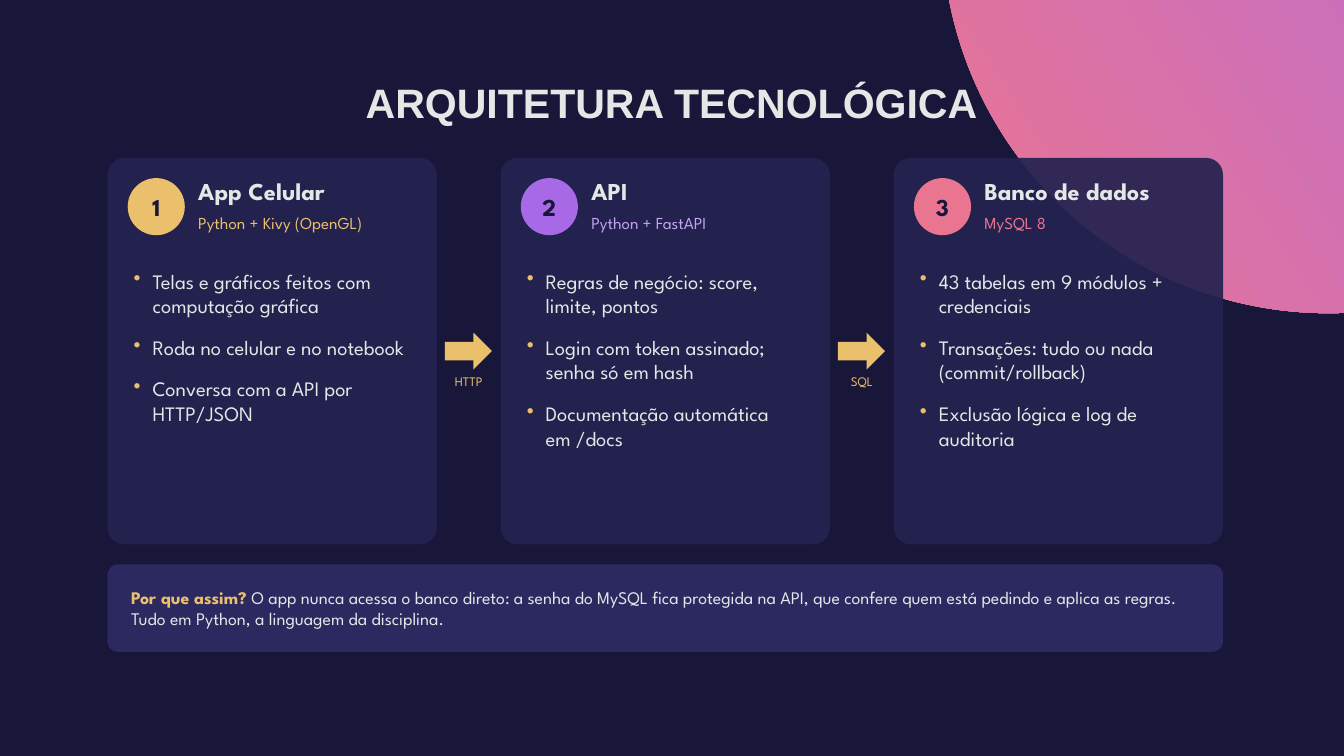
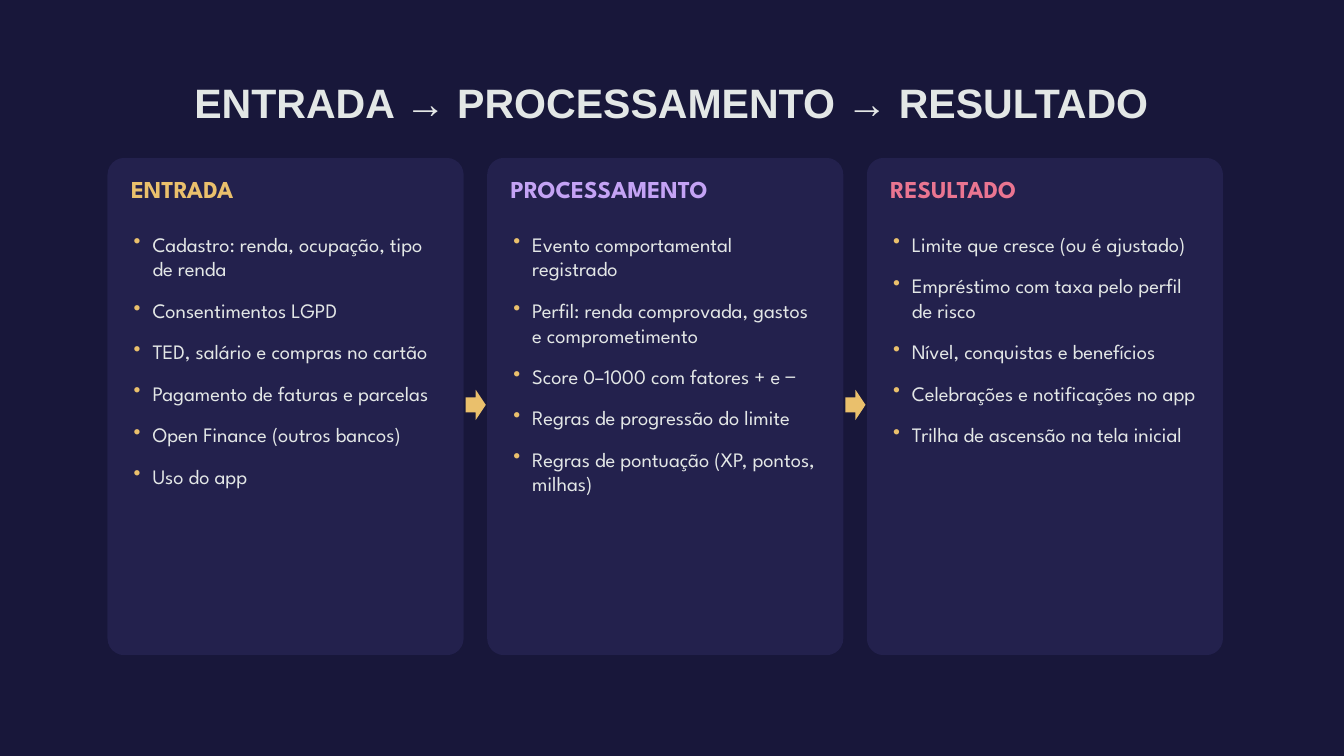
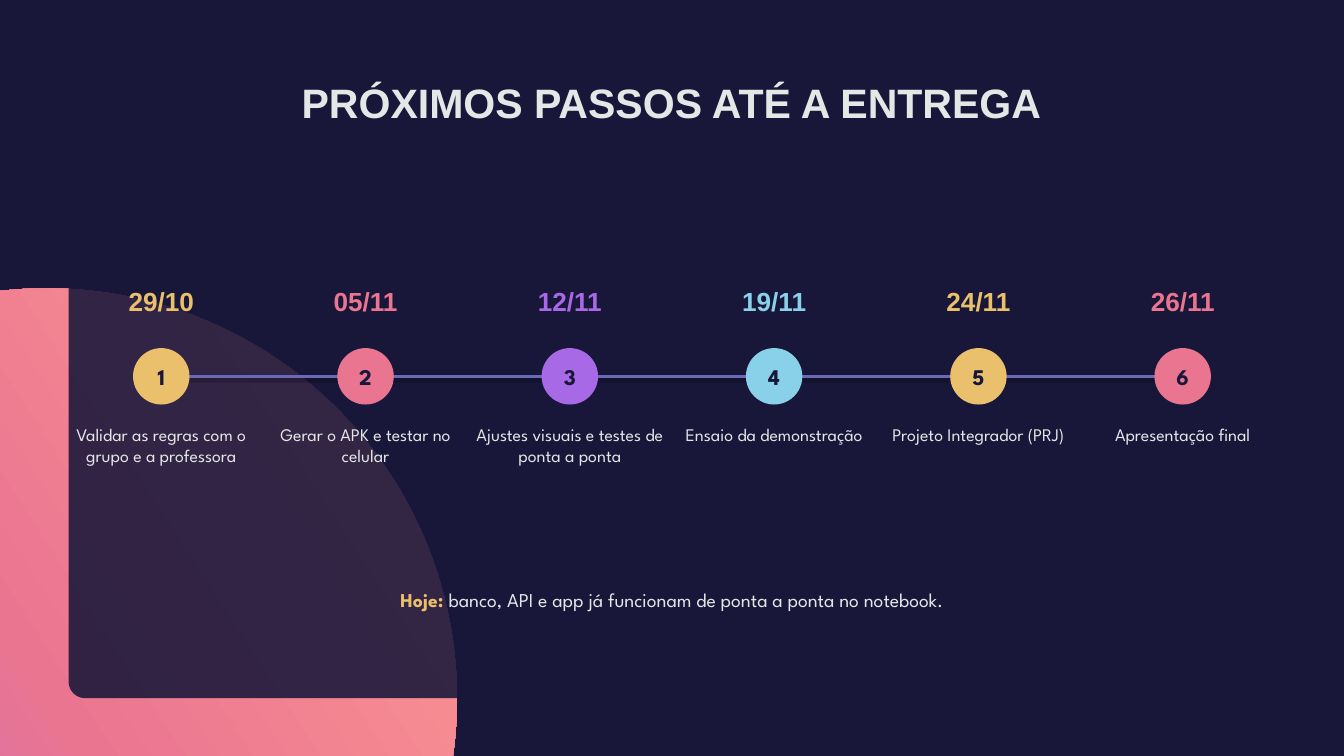
from pptx import Presentation
from pptx.dml.color import RGBColor
from pptx.enum.shapes import MSO_CONNECTOR, MSO_SHAPE
from pptx.enum.text import MSO_ANCHOR, MSO_AUTO_SIZE, PP_ALIGN
from pptx.oxml.ns import qn
from pptx.util import Pt
from lxml.etree import SubElement

NIGHT = RGBColor(0x18, 0x17, 0x3A)
CARD = RGBColor(0x24, 0x22, 0x4F)
BAND = RGBColor(0x2E, 0x2B, 0x63)
RAIL = RGBColor(0x6C, 0x68, 0xB8)
LIGHT = RGBColor(0xE3, 0xE7, 0xE6)
GOLD = RGBColor(0xEA, 0xC0, 0x6C)
VIOLET = RGBColor(0xA8, 0x69, 0xE7)
LILAC = RGBColor(0xC4, 0xA3, 0xF5)
PINK = RGBColor(0xEA, 0x75, 0x91)
CORAL = RGBColor(0xFF, 0x9C, 0x92)
SKY = RGBColor(0x89, 0xD0, 0xE9)
BODY, HEAD = "League Spartan", "Arial"
LEFT, TOP = 115.2, 169.2

# Content
LAYERS = [
    ("App Celular", "Python + Kivy (OpenGL)", GOLD, GOLD, "HTTP", [
        "Telas e gráficos feitos com computação gráfica",
        "Roda no celular e no notebook",
        "Conversa com a API por HTTP/JSON"]),
    ("API", "Python + FastAPI", VIOLET, LILAC, "SQL", [
        "Regras de negócio: score, limite, pontos",
        "Login com token assinado; senha só em hash",
        "Documentação automática em /docs"]),
    ("Banco de dados", "MySQL 8", PINK, PINK, None, [
        "43 tabelas em 9 módulos + credenciais",
        "Transações: tudo ou nada (commit/rollback)",
        "Exclusão lógica e log de auditoria"]),
]
REASON = ("Por que assim? ",
          "O app nunca acessa o banco direto: a senha do MySQL fica protegida "
          "na API, que confere quem está pedindo e aplica as regras. "
          "Tudo em Python, a linguagem da disciplina.")
STAGES = [
    ("ENTRADA", GOLD, [
        "Cadastro: renda, ocupação, tipo de renda",
        "Consentimentos LGPD",
        "TED, salário e compras no cartão",
        "Pagamento de faturas e parcelas",
        "Open Finance (outros bancos)",
        "Uso do app"]),
    ("PROCESSAMENTO", LILAC, [
        "Evento comportamental registrado",
        "Perfil: renda comprovada, gastos e comprometimento",
        "Score 0–1000 com fatores + e −",
        "Regras de progressão do limite",
        "Regras de pontuação (XP, pontos, milhas)"]),
    ("RESULTADO", PINK, [
        "Limite que cresce (ou é ajustado)",
        "Empréstimo com taxa pelo perfil de risco",
        "Nível, conquistas e benefícios",
        "Celebrações e notificações no app",
        "Trilha de ascensão na tela inicial"]),
]
STEPS = [
    ("29/10", "Validar as regras com o grupo e a professora", GOLD),
    ("05/11", "Gerar o APK e testar no celular", PINK),
    ("12/11", "Ajustes visuais e testes de ponta a ponta", VIOLET),
    ("19/11", "Ensaio da demonstração", SKY),
    ("24/11", "Projeto Integrador (PRJ)", GOLD),
    ("26/11", "Apresentação final", PINK),
]
TODAY = ("Hoje: ", "banco, API e app já funcionam de ponta a ponta no notebook.")


# Shared parts
def style(run, size, color, bold=False, font=BODY):
    run.font.size, run.font.name = Pt(size), font
    run.font.color.rgb, run.font.bold = color, bold


def clear(frame):
    frame.margin_left = frame.margin_right = 0
    frame.margin_top = frame.margin_bottom = 0
    frame.word_wrap = True


def text(slide, box, lines, size, color, bold=False, font=BODY,
         center=False, middle=False, gap=6):
    frame = slide.shapes.add_textbox(*map(Pt, box)).text_frame
    clear(frame)
    frame.auto_size = MSO_AUTO_SIZE.SHAPE_TO_FIT_TEXT
    frame.vertical_anchor = MSO_ANCHOR.MIDDLE if middle else MSO_ANCHOR.TOP
    frame.text = "\n".join(lines)
    for par in frame.paragraphs:
        par.space_after = Pt(gap)
        par.alignment = PP_ALIGN.CENTER if center else PP_ALIGN.LEFT
        style(par.runs[0], size, color, bold, font)
    return frame


def bullets(slide, box, lines):
    for par in text(slide, box, lines, 22, LIGHT, gap=18).paragraphs:
        props = par._p.get_or_add_pPr()
        props.set("marL", str(Pt(23.04)))
        props.set("indent", str(Pt(-20.16)))
        tint = SubElement(props, qn("a:buClr"))
        SubElement(tint, qn("a:srgbClr"), val=str(GOLD))
        SubElement(props, qn("a:buChar"), char="•")


def remark(slide, box, parts, size, **look):
    frame = text(slide, box, parts[:1], size, GOLD, True, **look)
    run = frame.paragraphs[0].add_run()
    run.text = parts[1]
    style(run, size, LIGHT)


def shape(slide, kind, box, color, alpha=None, corner=None):
    form = slide.shapes.add_shape(kind, *map(Pt, box))
    form.shadow.inherit = False
    form.line.fill.background()
    form.fill.solid()
    form.fill.fore_color.rgb = color
    if corner:
        form.adjustments[0] = corner
    if alpha:
        tint = form.fill._xPr.find(qn("a:solidFill"))[0]
        SubElement(tint, qn("a:alpha"), val=str(alpha * 1000))
    return form


def panel(slide, box, color, alpha, corner):
    shape(slide, MSO_SHAPE.ROUNDED_RECTANGLE, box, color, alpha, corner)


def arrow(slide, box):
    shape(slide, MSO_SHAPE.RIGHT_ARROW, box, GOLD)


def badge(slide, x, y, side, num, size, color):
    frame = shape(slide, MSO_SHAPE.OVAL, (x, y, side, side), color).text_frame
    clear(frame)
    frame.vertical_anchor = MSO_ANCHOR.MIDDLE
    frame.text = str(num)
    frame.paragraphs[0].alignment = PP_ALIGN.CENTER
    style(frame.paragraphs[0].runs[0], size, NIGHT, True)


def disc(slide, x, y, side, colors):
    form = shape(slide, MSO_SHAPE.OVAL, (x, y, side, side), PINK)
    form.fill.gradient()
    form.fill.gradient_angle = 33
    stops = form.fill._xPr.find(qn("a:gradFill")).find(qn("a:gsLst"))
    for old in list(stops):
        stops.remove(old)
    for i, color in enumerate(colors):
        place = 100000 * i // (len(colors) - 1)
        stop = SubElement(stops, qn("a:gs"), pos=str(place))
        SubElement(stop, qn("a:srgbClr"), val=str(color))


def start(deck):
    slide = deck.slides.add_slide(deck.slide_layouts[6])
    slide.background.fill.solid()
    slide.background.fill.fore_color.rgb = NIGHT
    return slide


def title(slide, words):
    text(slide, (108, 75.6, 1224, 68.4), [words], 44, LIGHT, True, HEAD,
         center=True, middle=True)


# Slides
def layers(deck):
    slide = start(deck)
    disc(slide, 1009.44, -492.48, 828, [PINK, VIOLET])
    title(slide, "ARQUITETURA TECNOLÓGICA")
    for i, (name, tools, color, tint, link, lines) in enumerate(LAYERS):
        x = LEFT + 421.2 * i
        panel(slide, (x, TOP, 352.8, 414), CARD, 92, 0.051)
        badge(slide, x + 21.6, 190.8, 61.2, i + 1, 26, color)
        text(slide, (x + 97.2, 188.64, 244.8, 39.6), [name], 26, LIGHT, True)
        text(slide, (x + 97.2, 228.24, 244.8, 32.4), [tools], 18, tint)
        bullets(slide, (x + 25.2, 288, 306, 288), lines)
        if link:
            arrow(slide, (x + 361.44, 356.4, 50.4, 39.6))
            text(slide, (x + 345.6, 399.6, 82.8, 28.8), [link], 14, GOLD,
                 center=True)
    panel(slide, (LEFT, 604.8, 1195.2, 93.6), BAND, 95, 0.12)
    remark(slide, (LEFT + 25.2, 604.8, 1152, 93.6), REASON, 19, middle=True)


def flow(deck):
    slide = start(deck)
    title(slide, "ENTRADA → PROCESSAMENTO → RESULTADO")
    for i, (name, color, lines) in enumerate(STAGES):
        x = LEFT + 406.8 * i
        panel(slide, (x, TOP, 381.6, 532.8), CARD, 92, 0.047)
        text(slide, (x + 25.2, 187.2, 331.2, 43.2), [name], 26, color, True)
        bullets(slide, (x + 25.2, 248.4, 331.2, 439.2), lines)
        if i < len(STAGES) - 1:
            arrow(slide, (x + 383.76, 417.6, 21.6, 32.4))


def plan(deck):
    slide = start(deck)
    disc(slide, -389.52, 308.88, 879.12, [VIOLET, PINK, CORAL])
    panel(slide, (73.44, 61.2, 1293.12, 686.88), NIGHT, 88, 0.026)
    title(slide, "PRÓXIMOS PASSOS ATÉ A ENTREGA")

    # The rail keeps the soft shadow of the theme
    first, pitch, mid, side, wide = 172.8, 218.88, 403.2, 60.48, 201.6
    last = first + pitch * (len(STEPS) - 1)
    rail = slide.shapes.add_connector(
        MSO_CONNECTOR.STRAIGHT, Pt(first), Pt(mid), Pt(last), Pt(mid))
    rail.line.color.rgb, rail.line.width = RAIL, Pt(3)

    for i, (day, task, color) in enumerate(STEPS):
        x = first + pitch * i
        badge(slide, x - side / 2, mid - side / 2, side, i + 1, 24, color)
        text(slide, (x - wide / 2, 306, wide, 43.2), [day], 28, color, True,
             HEAD, center=True)
        text(slide, (x - wide / 2, 453.6, wide, 115.2), [task], 19, LIGHT,
             center=True)
    remark(slide, (144, 630, 1152, 64.8), TODAY, 21, center=True)


def main():
    deck = Presentation()
    deck.slide_width, deck.slide_height = Pt(1440), Pt(810)
    for build in (layers, flow, plan):
        build(deck)
    deck.save("out.pptx")


if __name__ == "__main__":
    main()
